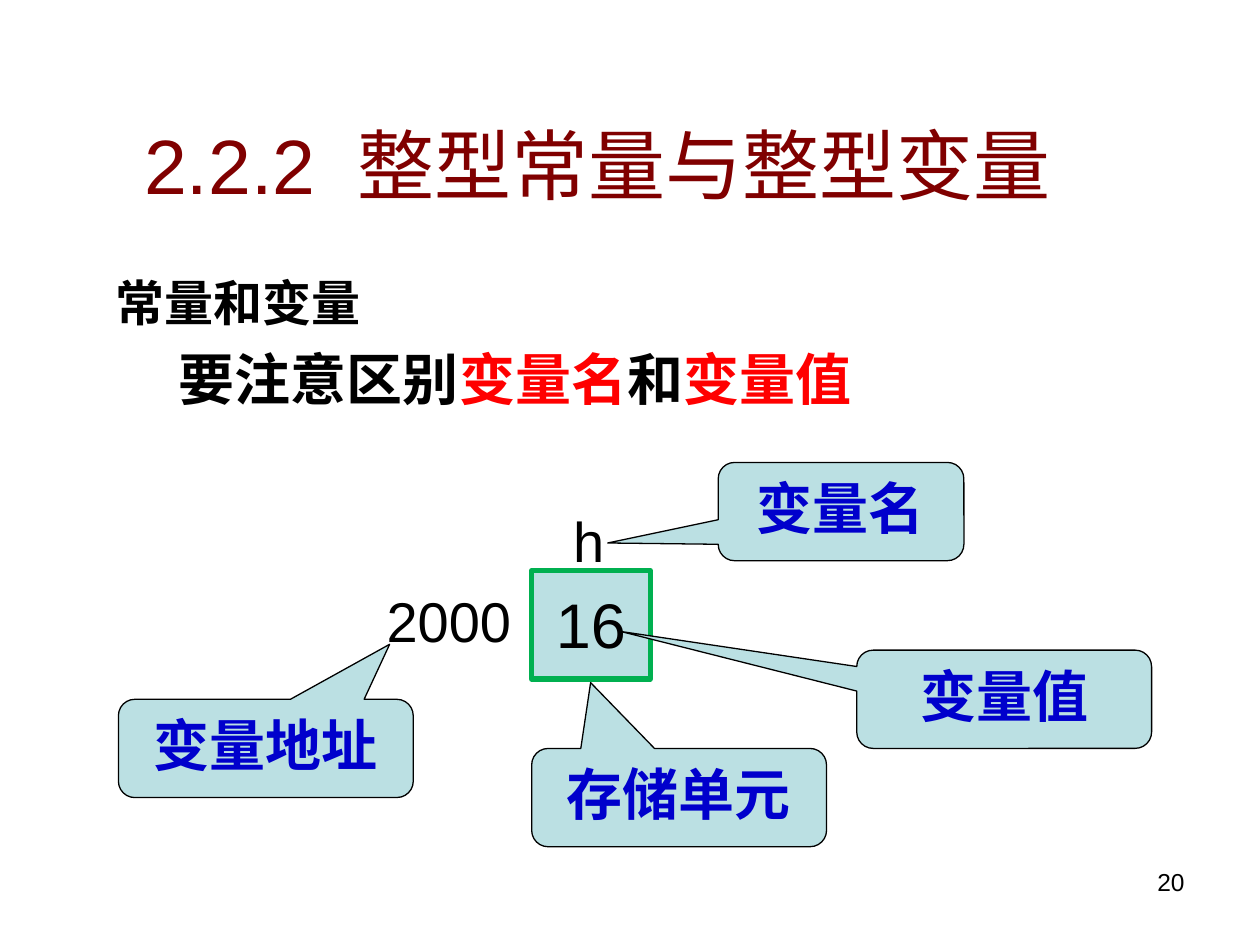
from pptx import Presentation
from pptx.dml.color import RGBColor
from pptx.enum.shapes import MSO_SHAPE
from pptx.enum.text import MSO_ANCHOR, PP_ALIGN
from pptx.util import Inches, Pt

COLORS = {
    "title": "800000",
    "text": "000000",
    "accent": "FF0000",
    "label": "0000CC",
    "fill": "BBE0E3",
    "cell_line": "00B050",
}

# text, left, top, width, pointer position relative to the callout centre
CALLOUTS = [
    ("存储单元", 4.22, 5.94, 2.34, (-0.3, -1.17)),
    ("变量名", 5.7, 3.67, 1.95, (-0.95, 0.32)),
    ("变量地址", 0.94, 5.55, 2.34, (0.42, -1.06)),
    ("变量值", 6.8, 5.16, 2.34, (-1.3, -0.69)),
]


def color(name):
    return RGBColor.from_string(COLORS[name])


def add_run(p, text, size, name="text", bold=False):
    r = p.add_run()
    r.text = text
    r.font.name = "Arial"
    r.font.size = Pt(size)
    r.font.bold = bold
    r.font.color.rgb = color(name)
    return r


def add_textbox(s, left, top, width, height, align=PP_ALIGN.LEFT):
    box = s.shapes.add_textbox(
        Inches(left), Inches(top), Inches(width), Inches(height))
    tf = box.text_frame
    tf.word_wrap = True
    tf.paragraphs[0].alignment = align
    return tf


def add_box(s, kind, left, top, width, height, line, line_width):
    sp = s.shapes.add_shape(
        kind, Inches(left), Inches(top), Inches(width), Inches(height))
    sp.shadow.inherit = False
    sp.fill.solid()
    sp.fill.fore_color.rgb = color("fill")
    sp.line.color.rgb = color(line)
    sp.line.width = Pt(line_width)
    tf = sp.text_frame
    tf.word_wrap = False
    tf.vertical_anchor = MSO_ANCHOR.TOP
    tf.paragraphs[0].alignment = PP_ALIGN.CENTER
    return sp


def add_callout(s, text, left, top, width, pointer):
    sp = add_box(s, MSO_SHAPE.ROUNDED_RECTANGULAR_CALLOUT,
                 left, top, width, 0.78, "text", 0.75)
    sp.adjustments[0], sp.adjustments[1] = pointer
    add_run(sp.text_frame.paragraphs[0], text, 32, "label", True)


def add_title(s):
    tf = add_textbox(s, 0.35, 0.88, 8.79, 0.84, PP_ALIGN.CENTER)
    tf.vertical_anchor = MSO_ANCHOR.MIDDLE
    p = tf.paragraphs[0]
    add_run(p, "2.2.2", 44, "title")
    # Widened space between the number and the heading
    gap = add_run(p, " ", 44, "title")
    gap.font._element.set("spc", "1200")
    add_run(p, "整型常量与整型变量", 44, "title")


def add_body(s):
    tf = add_textbox(s, 0.82, 2.11, 8.55, 1.64)
    add_run(tf.paragraphs[0], "常量和变量", 28, bold=True)
    p = tf.add_paragraph()
    p.space_before = Pt(8)
    pPr = p._p.get_or_add_pPr()
    pPr.set("marL", str(Inches(0.81)))
    pPr.set("indent", str(Inches(-0.31)))
    for text, name in [("要注意区别", "text"), ("变量名", "accent"),
                       ("和", "text"), ("变量值", "accent")]:
        add_run(p, text, 32, name, True)


def main():
    prs = Presentation()
    prs.slide_width, prs.slide_height = Inches(10), Inches(7.5)
    s = prs.slides.add_slide(prs.slide_layouts[6])

    # Heading and explanation
    add_title(s)
    add_body(s)

    # Memory cell with its value
    cell = add_box(s, MSO_SHAPE.FLOWCHART_PROCESS,
                   4.22, 4.53, 0.94, 0.86, "cell_line", 3)
    cell.text_frame.margin_top = Inches(0.12)
    add_run(cell.text_frame.paragraphs[0], "16", 36)

    # Variable name and address
    for text, left, top, width in [("h", 4.45, 3.97, 0.7),
                                   ("2000", 2.97, 4.61, 1.33)]:
        tf = add_textbox(s, left, top, width, 0.64)
        add_run(tf.paragraphs[0], text, 32)

    # Callouts naming each part
    for callout in CALLOUTS:
        add_callout(s, *callout)

    # Page number
    tf = add_textbox(s, 7.17, 6.83, 2.33, 0.52, PP_ALIGN.RIGHT)
    add_run(tf.paragraphs[0], "20", 14)

    prs.save("out.pptx")


if __name__ == "__main__":
    main()
